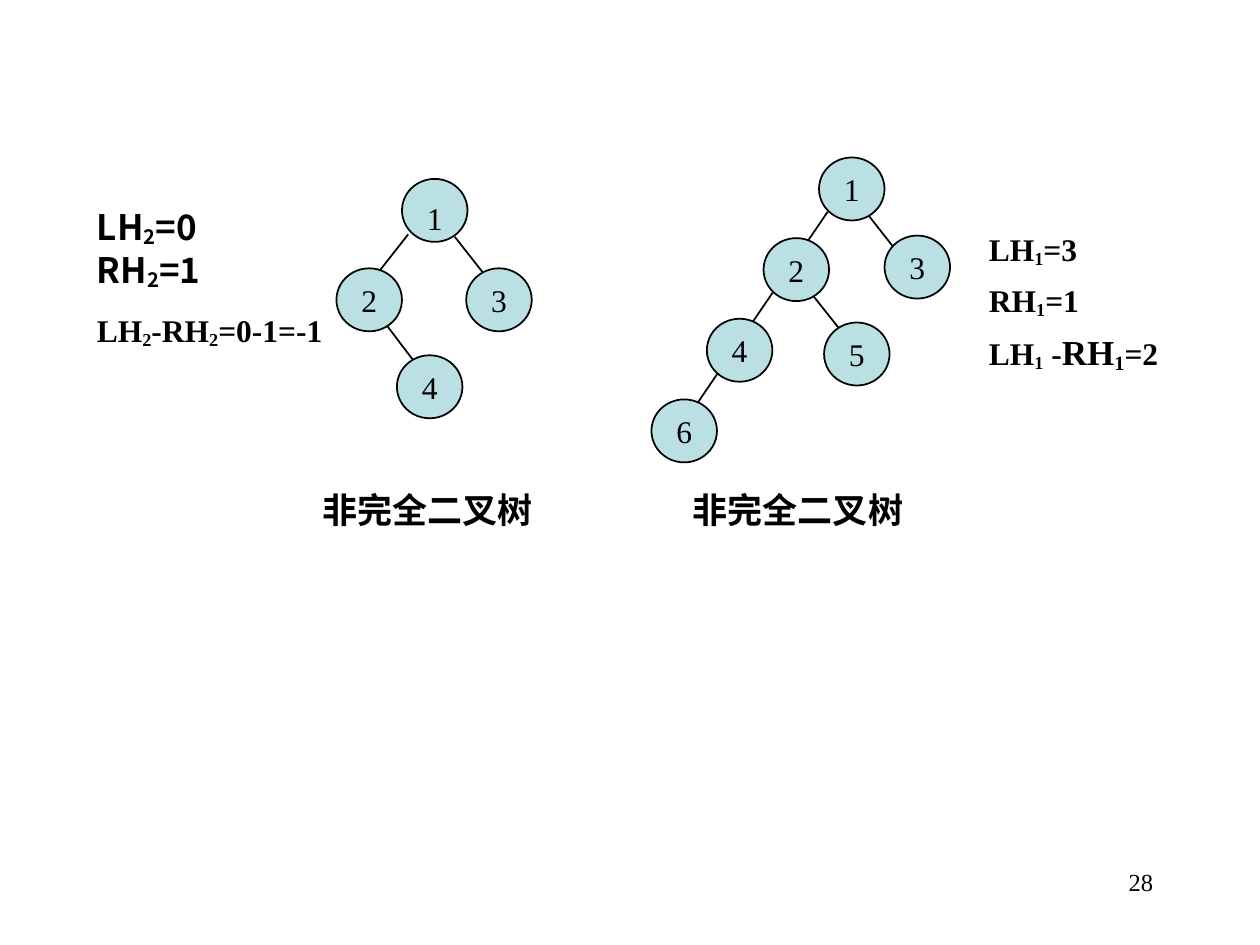
from lxml import etree
from pptx import Presentation
from pptx.dml.color import RGBColor
from pptx.enum.shapes import MSO_CONNECTOR, MSO_SHAPE
from pptx.enum.text import MSO_ANCHOR, PP_ALIGN
from pptx.oxml.ns import qn
from pptx.util import Inches, Pt

STRAIGHT = MSO_CONNECTOR.STRAIGHT
ELLIPSE = MSO_SHAPE.OVAL
MIDDLE = MSO_ANCHOR.MIDDLE
LEFT, CENTER, RIGHT = PP_ALIGN.LEFT, PP_ALIGN.CENTER, PP_ALIGN.RIGHT
SERIF, SANS = "Times New Roman", "Noto Sans CJK SC"


def color(value):
    """Turn a hex string into a colour."""
    return RGBColor.from_string(value)


class TreeSlide:
    """Hold the style and the slide that elements are added to."""

    ink, node_fill = "000000", "BBE0E3"
    node_width, node_height = 0.52, 0.5

    def __init__(self, slide):
        """Keep the slide to draw on."""
        self.slide = slide

    def runs(self, paragraph, text, size, font=SERIF, bold=False):
        """Add runs, setting the parts between underscores as subscripts."""
        for index, part in enumerate(text.split("_")):
            if not part:
                continue
            run = paragraph.add_run()
            run.text = part
            run.font.size = Pt(size)
            run.font.bold = bold
            run.font.color.rgb = color(self.ink)
            run.font.name = font
            properties = run._r.get_or_add_rPr()
            etree.SubElement(properties, qn("a:ea")).set("typeface", SANS)
            if index % 2:
                properties.set("baseline", "-12000")

    def text(self, box, paragraphs, bold=True, align=LEFT, line_spacing=None):
        """Add a text box from (space before, pieces) paragraphs."""
        frame = self.slide.shapes.add_textbox(*map(Inches, box)).text_frame
        frame.word_wrap = True
        for index, (space, pieces) in enumerate(paragraphs):
            paragraph = frame.add_paragraph() if index else frame.paragraphs[0]
            paragraph.alignment = align
            if space:
                paragraph.space_before = Pt(space)
            if line_spacing:
                paragraph.line_spacing = line_spacing
            for piece in pieces:
                self.runs(paragraph, *piece, bold=bold)

    def edge(self, group, start, end):
        """Add a thin line between two points."""
        line = group.shapes.add_connector(STRAIGHT, *map(Inches, start + end))
        line.line.color.rgb = color(self.ink)
        line.line.width = Pt(1)
        etree.SubElement(line._element.spPr, qn("a:effectLst"))

    def node(self, group, label, left, top, drop=0):
        """Add a numbered circle, its number lowered by half of drop."""
        size = (self.node_width, self.node_height)
        shape = group.shapes.add_shape(ELLIPSE, *map(Inches, (left, top) + size))
        shape.shadow.inherit = False
        shape.fill.solid()
        shape.fill.fore_color.rgb = color(self.node_fill)
        shape.line.color.rgb = color(self.ink)
        shape.line.width = Pt(1)
        frame = shape.text_frame
        frame.margin_left = frame.margin_right = frame.margin_bottom = 0
        frame.margin_top = Inches(drop)
        frame.vertical_anchor = MIDDLE
        paragraph = frame.paragraphs[0]
        paragraph.alignment = CENTER
        self.runs(paragraph, label, 18)

    def tree(self, edges, nodes):
        """Group a tree's edges with the nodes in front of them."""
        group = self.slide.shapes.add_group_shape()
        for start, end in edges:
            self.edge(group, start, end)
        for node in nodes:
            self.node(group, *node)


def main():
    """Build and save the slide."""
    presentation = Presentation()
    presentation.slide_width, presentation.slide_height = Inches(10), Inches(7.5)
    slide = presentation.slides.add_slide(presentation.slide_layouts[6])
    page = TreeSlide(slide)

    page.tree(
        [((6.44, 2.33), (6.67, 2.62)), ((6.87, 1.68), (7.09, 1.96)),
         ((6.57, 1.68), (5.46, 3.31))],
        [("1", 6.5, 1.25), ("2", 6.06, 1.89), ("3", 7.02, 1.87),
         ("4", 5.61, 2.53), ("5", 6.54, 2.56), ("6", 5.17, 3.17)])
    page.tree(
        [((3.24, 1.86), (3.02, 2.14)), ((3.61, 1.88), (3.83, 2.16)),
         ((3.06, 2.57), (3.28, 2.86))],
        [("1", 3.19, 1.42, 0.12), ("2", 2.67, 2.13), ("3", 3.7, 2.13),
         ("4", 3.15, 2.82)])

    page.text((7.75, 1.83, 1.7, 1.18), [
        (0, [("LH_1_=3", 18)]),
        (11.2, [("RH_1_=1", 18)]),
        (11.2, [("LH_1_ -", 18), ("RH_1_", 20), ("=2", 18)]),
    ], line_spacing=0.8)
    page.text((0.67, 1.58, 2.08, 1.25), [
        (0, [("LH_2_=0", 20, SANS)]),
        (0, [("RH_2_=1", 20, SANS)]),
        (11.2, [("LH_2_-RH_2_=0-1=-1", 18)]),
    ])
    for left in (2.46, 5.4):
        page.text((left, 3.83, 2, 0.44), [(0, [("非完全二叉树", 20)])])
    page.text((7.17, 6.83, 2.08, 0.5), [(0, [("28", 14)])], bold=False, align=RIGHT)

    presentation.save("out.pptx")


if __name__ == "__main__":
    main()
